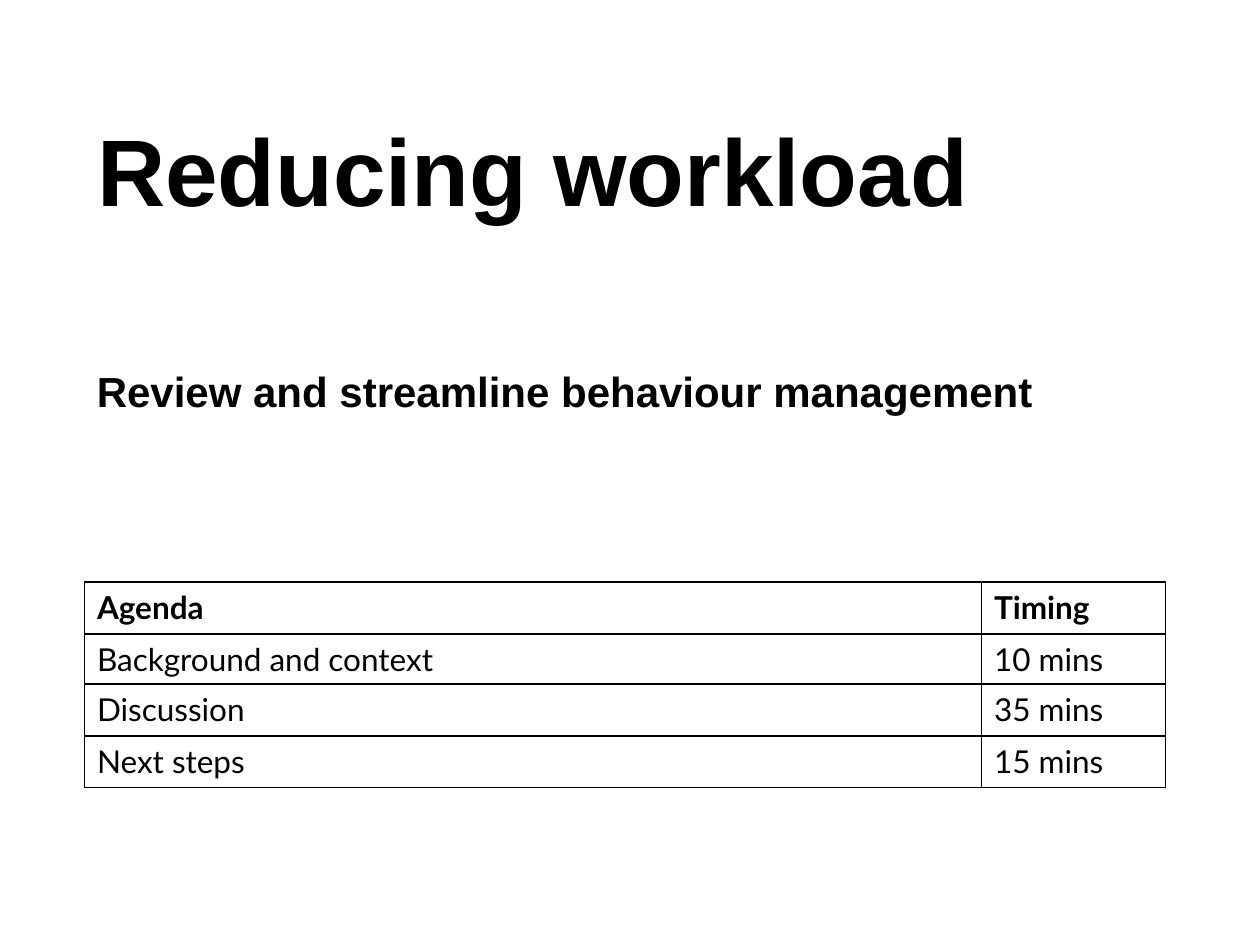
from dataclasses import dataclass

from lxml.etree import SubElement
from pptx import Presentation
from pptx.dml.color import RGBColor
from pptx.enum.text import MSO_ANCHOR, MSO_AUTO_SIZE, PP_ALIGN
from pptx.oxml.ns import qn
from pptx.util import Inches, Pt


@dataclass(frozen=True)
class Theme:
    """Colours, fonts and type sizes of the slide."""

    ink: str = "000000"
    paper: str = "FFFFFF"
    heading_font: str = "Arial"
    table_font: str = "Lato"
    title_size: int = 54
    subtitle_size: int = 24
    table_size: int = 18
    border_width: int = 1


def write_text(text_frame, text, *, font, size, color, bold=False, anchor=MSO_ANCHOR.TOP):
    """Fill a text frame with one formatted, left-aligned paragraph."""
    text_frame.word_wrap = True
    text_frame.vertical_anchor = anchor
    paragraph = text_frame.paragraphs[0]
    paragraph.alignment = PP_ALIGN.LEFT
    run = paragraph.add_run()
    run.text = text
    run.font.name = font
    run.font.size = Pt(size)
    run.font.bold = bold
    run.font.color.rgb = RGBColor.from_string(color)


class SlideBuilder:
    """Adds styled elements to the current slide."""

    def __init__(self, slide, theme):
        """Keep the slide and its theme."""
        self.slide = slide
        self.theme = theme

    def title(self, text, left, top, width, height):
        """Place and fill the title placeholder."""
        shape = self.slide.shapes.title
        shape.left, shape.top = Inches(left), Inches(top)
        shape.width, shape.height = Inches(width), Inches(height)
        shape.text_frame.auto_size = MSO_AUTO_SIZE.NONE
        write_text(shape.text_frame, text, font=self.theme.heading_font,
                   size=self.theme.title_size, color=self.theme.ink,
                   bold=True, anchor=MSO_ANCHOR.MIDDLE)

    def subtitle(self, text, left, top, width, height):
        """Add a bold text box below the title."""
        shape = self.slide.shapes.add_textbox(
            Inches(left), Inches(top), Inches(width), Inches(height))
        write_text(shape.text_frame, text, font=self.theme.heading_font,
                   size=self.theme.subtitle_size, color=self.theme.ink, bold=True)
        shape.text_frame.auto_size = MSO_AUTO_SIZE.SHAPE_TO_FIT_TEXT

    def table(self, rows, left, top, column_widths, row_heights):
        """Add a bordered table with a bold first row."""
        table = self.slide.shapes.add_table(
            len(rows), len(column_widths), Inches(left), Inches(top),
            Inches(sum(column_widths)), Inches(sum(row_heights))).table
        table.horz_banding = False
        for column, width in zip(table.columns, column_widths):
            column.width = Inches(width)
        for row_index, (row, height) in enumerate(zip(rows, row_heights)):
            table.rows[row_index].height = Inches(height)
            for column_index, text in enumerate(row):
                cell = table.cell(row_index, column_index)
                self.border(cell)
                cell.fill.solid()
                cell.fill.fore_color.rgb = RGBColor.from_string(self.theme.paper)
                write_text(cell.text_frame, text, font=self.theme.table_font,
                           size=self.theme.table_size, color=self.theme.ink,
                           bold=row_index == 0)

    def border(self, cell):
        """Draw a line on all four sides of a cell."""
        properties = cell._tc.get_or_add_tcPr()
        for side in ("a:lnL", "a:lnR", "a:lnT", "a:lnB"):
            line = SubElement(properties, qn(side), w=str(Pt(self.theme.border_width)))
            fill = SubElement(line, qn("a:solidFill"))
            SubElement(fill, qn("a:srgbClr"), val=self.theme.ink)


def main():
    """Build and save the agenda slide."""
    presentation = Presentation()
    presentation.slide_width, presentation.slide_height = Inches(10), Inches(7.5)
    slide = presentation.slides.add_slide(presentation.slide_layouts[5])
    builder = SlideBuilder(slide, Theme())
    left, text_width = 0.67, 8.5
    builder.title("Reducing workload", left, 0.64, text_width, 1.39)
    builder.subtitle("Review and streamline behaviour management",
                     left, 2.85, text_width, 0.5)
    agenda = [
        ("Agenda", "Timing"),
        ("Background and context", "10 mins"),
        ("Discussion", "35 mins"),
        ("Next steps", "15 mins"),
    ]
    builder.table(agenda, left, 4.62, column_widths=(7.12, 1.46),
                  row_heights=(0.41, 0.39, 0.41, 0.41))
    presentation.save("out.pptx")


if __name__ == "__main__":
    main()
